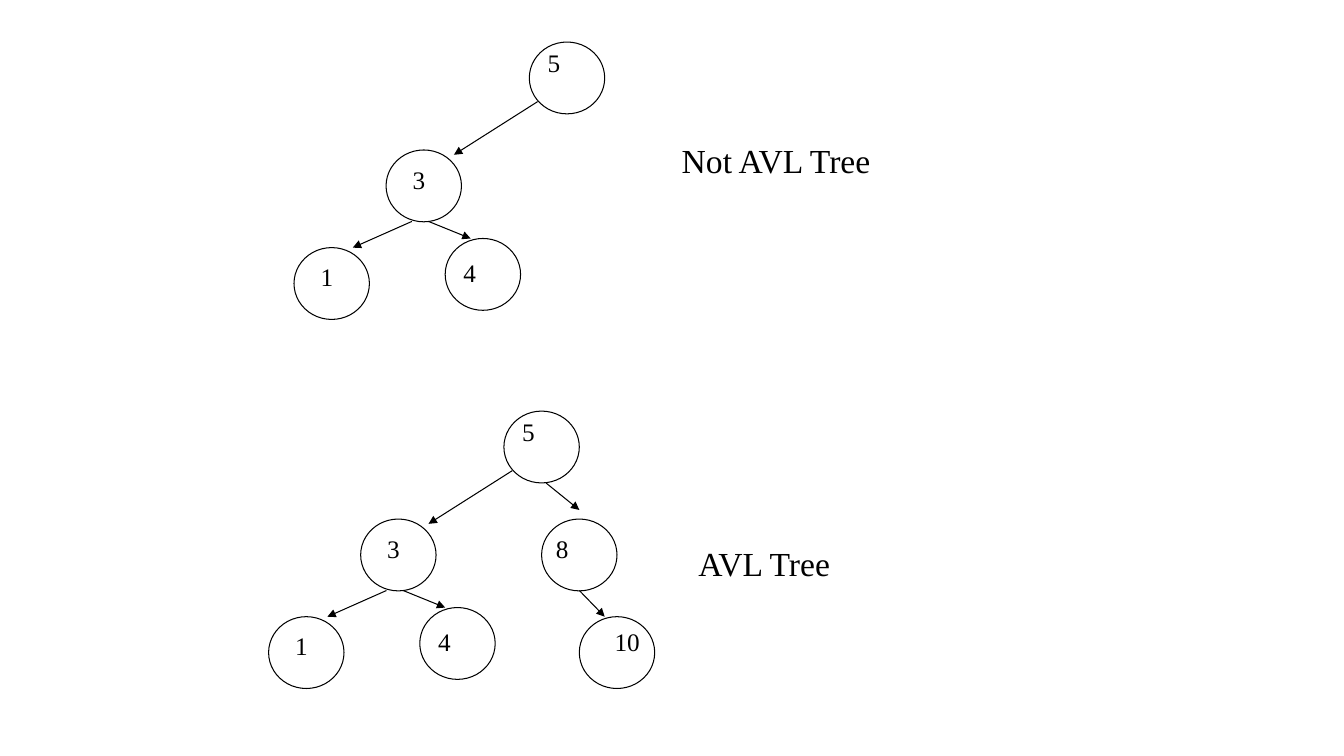
from dataclasses import dataclass

from lxml import etree
from pptx import Presentation
from pptx.dml.color import RGBColor
from pptx.enum.shapes import MSO_CONNECTOR, MSO_SHAPE
from pptx.enum.text import MSO_AUTO_SIZE
from pptx.oxml.ns import qn
from pptx.util import Cm, Pt

ELLIPSE = MSO_SHAPE.OVAL
STRAIGHT = MSO_CONNECTOR.STRAIGHT
GROW = MSO_AUTO_SIZE.SHAPE_TO_FIT_TEXT


@dataclass(frozen=True)
class Theme:
    ink: RGBColor = RGBColor(0, 0, 0)
    font: str = "Times New Roman"
    key_size: int = 18
    caption_size: int = 24
    line_width: float = 0.75


@dataclass(frozen=True)
class Node:
    """A key, its circle's offset from the root, and its label's offset and width."""
    key: str
    left: float
    top: float
    label_left: float
    label_top: float
    label_width: float


THEME = Theme()
NODE_WIDTH, NODE_HEIGHT = 1.9, 1.81
KEY_HEIGHT, CAPTION_HEIGHT = 1.02, 1.27

# All lengths are in centimetres, measured from the root circle's corner.
SHARED_NODES = [
    Node("5", 0, 0, 0.21, 0, 3.39),
    Node("3", -3.61, 2.72, 0.42, 0.23, 3.39),
    Node("1", -5.93, 5.18, 0.42, 0.23, 2.12),
    Node("4", -2.12, 4.95, 0.21, 0.34, 2.54),
]
RIGHT_NODES = [
    Node("8", 0.95, 2.72, 0.11, 0.23, 3.39),
    Node("10", 1.9, 5.18, 0.64, 0.11, 2.33),
]
SHARED_EDGES = [
    ((0.21, 1.5), (-1.9, 2.84)),
    ((-2.96, 4.52), (-4.45, 5.18)),
    ((-2.54, 4.52), (-1.48, 4.95)),
]
RIGHT_EDGES = [
    ((1.06, 1.81), (1.9, 2.49)),
    ((1.9, 4.52), (2.54, 5.18)),
]


def set_line(line):
    line.color.rgb = THEME.ink
    line.width = Pt(THEME.line_width)


def add_circle(shapes, left, top):
    circle = shapes.add_shape(ELLIPSE, Cm(left), Cm(top), Cm(NODE_WIDTH), Cm(NODE_HEIGHT))
    circle.shadow.inherit = False
    circle.fill.background()
    set_line(circle.line)


def add_arrow(shapes, start, end):
    arrow = shapes.add_connector(STRAIGHT, *(Cm(value) for value in (*start, *end)))
    set_line(arrow.line)
    line = arrow.line._get_or_add_ln()
    etree.SubElement(line, qn("a:tailEnd"), type="triangle")
    etree.SubElement(arrow._element.spPr, qn("a:effectLst"))


def add_text(shapes, text, left, top, width, height, size):
    box = shapes.add_textbox(Cm(left), Cm(top), Cm(width), Cm(height))
    box.text_frame.word_wrap = True
    box.text_frame.auto_size = GROW
    span = box.text_frame.paragraphs[0].add_run()
    span.text = text
    for name, value in {"name": THEME.font, "size": Pt(size)}.items():
        setattr(span.font, name, value)
    span.font.color.rgb = THEME.ink


def add_tree(shapes, root_left, root_top, nodes, edges):
    for node in nodes:
        add_circle(shapes, root_left + node.left, root_top + node.top)
    for edge in edges:
        start, end = ((root_left + x, root_top + y) for x, y in edge)
        add_arrow(shapes, start, end)
    for node in nodes:
        add_text(shapes, node.key, root_left + node.left + node.label_left,
                 root_top + node.top + node.label_top,
                 node.label_width, KEY_HEIGHT, THEME.key_size)


def add_caption(shapes, text, left, top):
    add_text(shapes, text, left, top, 10.37, CAPTION_HEIGHT, THEME.caption_size)


def main():
    deck = Presentation()
    deck.slide_width, deck.slide_height = Cm(33.87), Cm(19.05)
    page = deck.slides.add_slide(deck.slide_layouts[6])
    balanced_tree = page.shapes.add_group_shape()
    add_tree(balanced_tree.shapes, 12.7, 10.36,
             SHARED_NODES + RIGHT_NODES, SHARED_EDGES + RIGHT_EDGES)
    add_tree(page.shapes, 13.34, 1.06, SHARED_NODES, SHARED_EDGES)
    add_caption(page.shapes, "AVL Tree", 17.35, 13.55)
    add_caption(page.shapes, "Not AVL Tree", 16.93, 3.39)
    deck.save("out.pptx")


if __name__ == "__main__":
    main()
